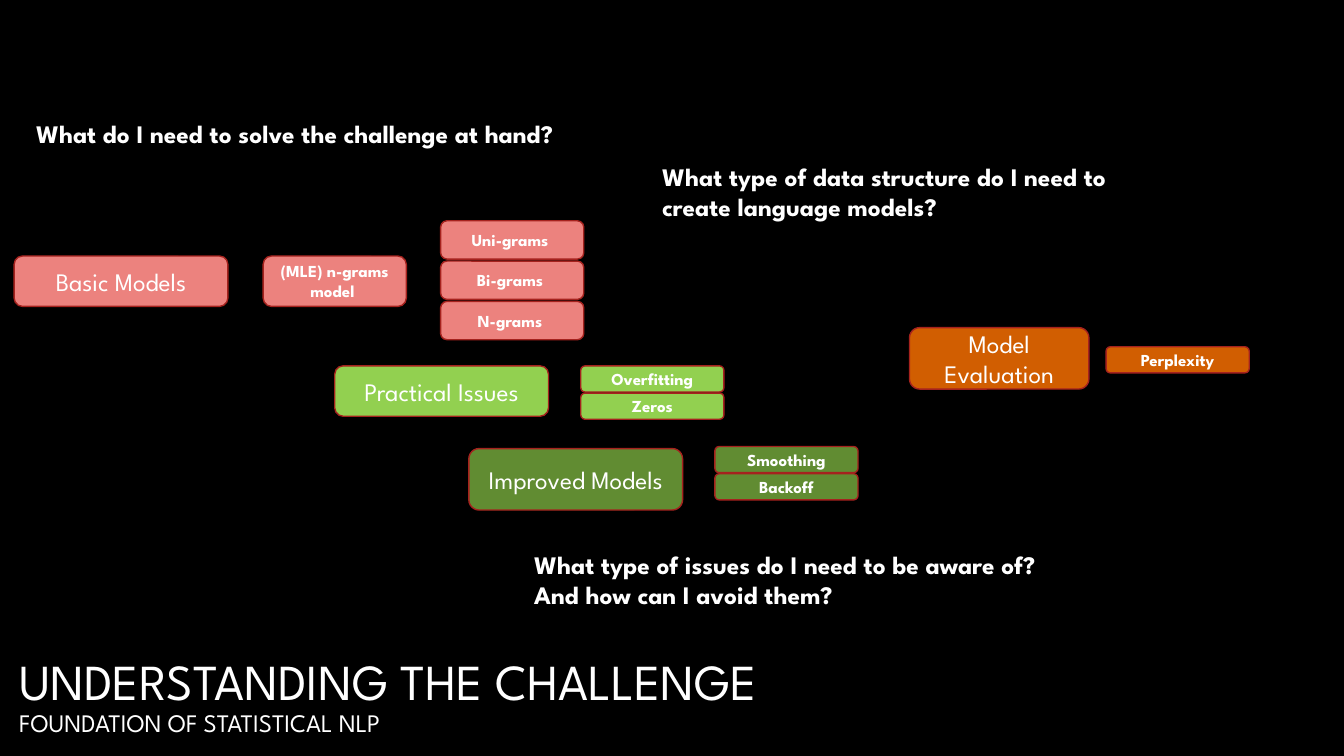
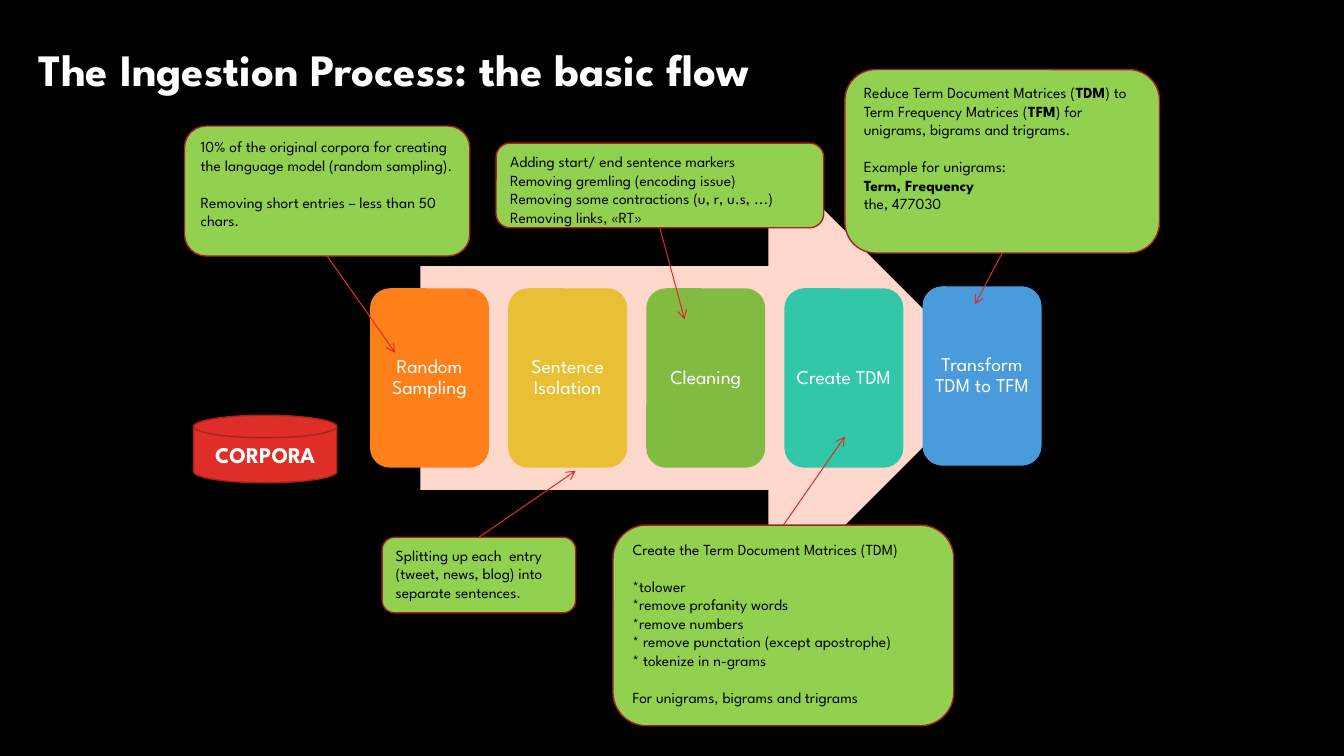
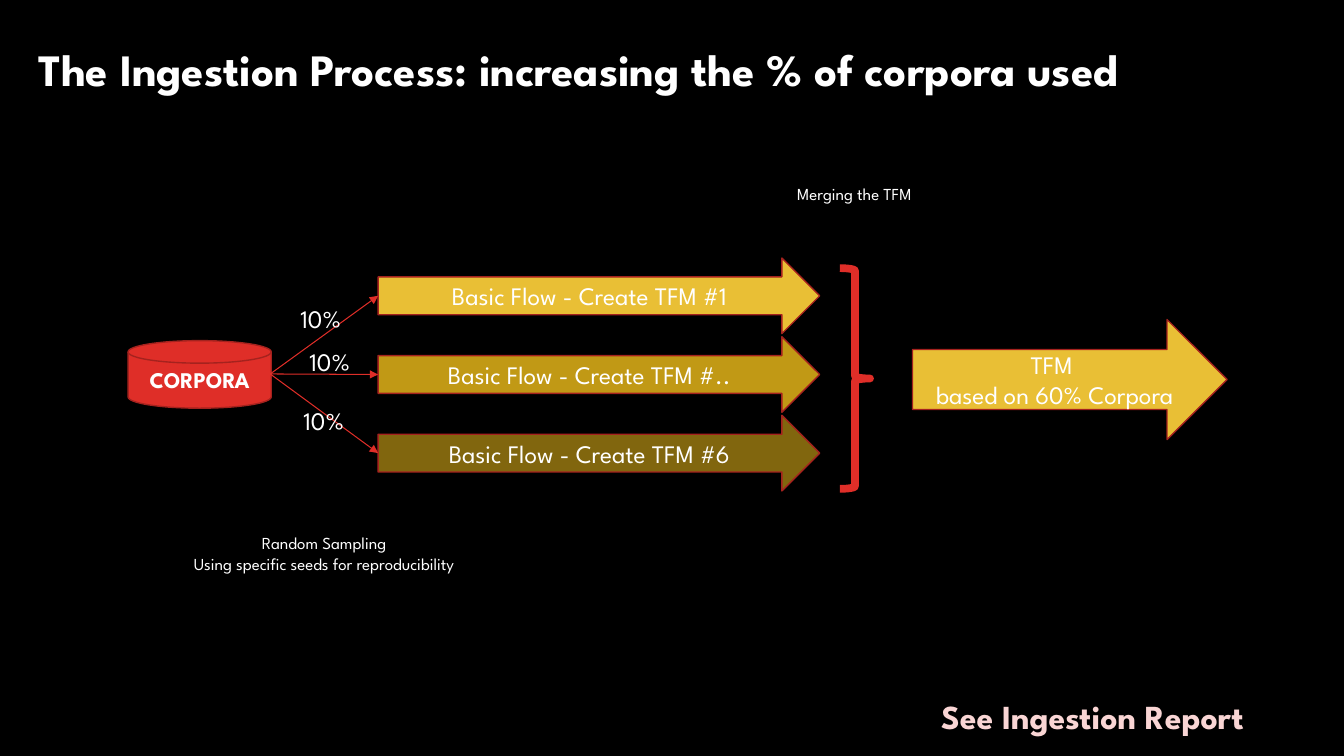
from pptx import Presentation
from pptx import util as u
from pptx.dml.color import RGBColor
from pptx.enum import shapes, text
from pptx.oxml.ns import qn
from lxml import etree

COLOURS = {
    "black": "000000", "white": "FFFFFF", "red": "DF2E28", "dark_red": "A5221E",
    "salmon": "EC827E", "lime": "92D050", "olive": "618C32", "rust": "D15E01",
    "peach": "FFD8CD", "orange": "FE801A", "yellow": "E9BF35", "green": "81BB42",
    "teal": "32C7A9", "blue": "4A9BDC", "gold": "C19915", "bronze": "81660E",
    "pink": "F9D5D4",
}
FONT = "League Spartan"
KIND = shapes.MSO_SHAPE
ALIGN = text.PP_ALIGN
ANCHOR = text.MSO_ANCHOR
FIT = text.MSO_AUTO_SIZE
LABEL = {"size": 18}
SMALL = {"size": 12, "bold": True}
NOTE = {"size": 11, "ink": "black", "align": ALIGN.LEFT}


def assign(target, values):
    for name, value in values.items():
        setattr(target, name, value)


def colour(name):
    return RGBColor.from_string(COLOURS[name])


class Deck:
    def __init__(self):
        self.show = Presentation()
        assign(self.show, {"slide_width": u.Inches(13.33), "slide_height": u.Inches(7.5)})
        background = self.show.slide_master.background.fill
        background.solid()
        background.fore_color.rgb = colour("black")
        self.slide = None

    def new_slide(self, lines, box, anchor=ANCHOR.TOP, spacing=1.0):
        self.slide = self.show.slides.add_slide(self.show.slide_layouts[5])
        title = self.slide.shapes.title
        sides = ("left", "top", "width", "height")
        assign(title, dict(zip(sides, map(u.Inches, box))))
        assign(title.text_frame, {"word_wrap": True, "auto_size": FIT.NONE,
                                  "vertical_anchor": anchor})
        paragraph = title.text_frame.paragraphs[0]
        assign(paragraph, {"alignment": ALIGN.LEFT, "line_spacing": spacing})
        for number, (words, size, bold) in enumerate(lines):
            if number:
                paragraph.add_line_break()
            self.add_words(paragraph, words, size, bold, "white")

    def add_words(self, paragraph, words, size, bold, ink):
        run = paragraph.add_run()
        run.text = words
        assign(run.font, {"name": FONT, "size": u.Pt(size), "bold": bold})
        run.font.color.rgb = colour(ink)

    def add_paragraphs(self, frame, paragraphs, size=18, bold=False, ink="white",
                       align=ALIGN.CENTER, spacing=1.0, gaps=()):
        for number, words in enumerate(paragraphs):
            paragraph = frame.add_paragraph() if number else frame.paragraphs[0]
            before = u.Pt(size * 1.2 if number in gaps else 0)
            assign(paragraph, {"alignment": align, "line_spacing": spacing,
                               "space_before": before})
            for part, piece in enumerate(words.split("**")):
                if piece:
                    self.add_words(paragraph, piece, size, bold or part % 2 == 1, ink)

    def shape(self, kind, box, fill=None, paragraphs=(), outline="dark_red", weight=1,
              anchor=ANCHOR.MIDDLE, inset=None, **style):
        shape = self.slide.shapes.add_shape(kind, *map(u.Inches, box))
        shape.shadow.inherit = False
        if fill:
            shape.fill.solid()
            shape.fill.fore_color.rgb = colour(fill)
        else:
            shape.fill.background()
        if outline:
            shape.line.color.rgb = colour(outline)
            shape.line.width = u.Pt(weight)
        else:
            shape.line.fill.background()
        frame = shape.text_frame
        assign(frame, {"word_wrap": True, "vertical_anchor": anchor})
        if inset is not None:
            margins = ("margin_left", "margin_right", "margin_top", "margin_bottom")
            assign(frame, dict.fromkeys(margins, u.Inches(inset)))
        self.add_paragraphs(frame, paragraphs, **style)
        return shape

    def pill(self, box, fill, paragraphs, style):
        return self.shape(KIND.ROUNDED_RECTANGLE, box, fill, paragraphs, **style)

    def corpora(self, left, top):
        self.shape(KIND.FLOWCHART_MAGNETIC_DISK, (left, top, 1.42, 0.67), "red",
                   ["CORPORA"], size=16, bold=True)

    def caption(self, box, paragraphs, **style):
        caption = self.slide.shapes.add_textbox(*map(u.Inches, box))
        assign(caption.text_frame, {"word_wrap": False, "auto_size": FIT.SHAPE_TO_FIT_TEXT})
        self.add_paragraphs(caption.text_frame, paragraphs, **style)

    def arrow(self, start, end, head, source=None, target=None):
        ends = map(u.Inches, (*start, *end))
        arrow = self.slide.shapes.add_connector(shapes.MSO_CONNECTOR.STRAIGHT, *ends)
        if source:
            arrow.begin_connect(*source)
        if target:
            arrow.end_connect(*target)
        arrow.line.color.rgb = colour("red")
        arrow.line.width = u.Pt(0.75)
        properties = arrow.element.spPr
        etree.SubElement(properties.find(qn("a:ln")), qn("a:tailEnd"), type=head)
        etree.SubElement(properties, qn("a:effectLst"))


def challenge(deck):
    deck.new_slide([("UNDERSTANDING THE CHALLENGE", 36, False),
                    ("FOUNDATION OF STATISTICAL NLP", 18, False)],
                   (0.09, 6.42, 8.42, 1), ANCHOR.MIDDLE, 0.9)
    topics = [
        ((0.14, 2.54, 2.12, 0.5), "salmon", "Basic Models",
         (4.37, 2.19, 0.38, 0.4), ["Uni-grams ", "Bi-grams ", "N-grams "]),
        ((3.32, 3.63, 2.12, 0.5), "lime", "Practical Issues",
         (5.76, 3.63, 0.26, 0.27), ["Overfitting", "Zeros"]),
        ((4.65, 4.45, 2.12, 0.61), "olive", "Improved Models",
         (7.09, 4.43, 0.26, 0.27), ["Smoothing", "Backoff"]),
        ((9.02, 3.25, 1.78, 0.61), "rust", "Model Evaluation",
         (10.97, 3.44, 0.26, 0.27), ["Perplexity"]),
    ]
    for box, fill, topic, (left, top, height, pitch), details in topics:
        deck.pill(box, fill, [topic], LABEL)
        for row, detail in enumerate(details):
            deck.pill((left, top + row * pitch, 1.42, height), fill, [detail], SMALL)
    deck.pill((2.61, 2.54, 1.42, 0.5), "salmon", ["(MLE) n-grams", "model "], SMALL)
    questions = [
        ((6.47, 1.55, 5.07, 0.71),
         ["What type of data structure do I need to", "create language models?"]),
        ((0.26, 1.12, 5.77, 0.4), ["What do I need to solve the challenge at hand?"]),
        ((5.2, 5.4, 5.6, 0.71),
         ["What type of issues do I need to be aware of?", "And how can I avoid them?"]),
    ]
    for box, question in questions:
        deck.caption(box, question, bold=True, align=ALIGN.LEFT)


def basic_flow(deck):
    deck.new_slide([("The Ingestion Process: the basic flow", 32, True)],
                   (0.28, 0.36, 7.98, 0.64))
    deck.shape(KIND.RIGHT_ARROW, (4.17, 1.53, 5.67, 4.44), "peach", outline=None)
    stages = [("Random Sampling", "orange", 2.86), ("Sentence Isolation", "yellow", 2.86),
              ("Cleaning", "green", 2.86), ("Create TDM", "teal", 2.86),
              ("Transform TDM to TFM", "blue", 2.84)]
    for column, (stage, fill, top) in enumerate(stages):
        deck.shape(KIND.ROUNDED_RECTANGLE, (3.67 + column * 1.37, top, 1.18, 1.78), fill,
                   [stage], outline=None, inset=0.05, size=14, spacing=0.9)
    deck.corpora(1.92, 4.12)
    callouts = [
        ((1.83, 1.25, 2.83, 1.29), 2, (3.92, 3.5), (1,),
         ["10% of the original corpora for creating the language model (random sampling).",
          "Removing short entries – less than 50 chars."]),
        ((3.79, 5.33, 1.92, 0.75), 0, (5.71, 4.67), (),
         ["Splitting up each  entry (tweet, news, blog) into separate sentences."]),
        ((4.92, 1.42, 3.25, 0.84), 2, (6.79, 3.17), (),
         ["Adding start/ end sentence markers", "Removing gremling (encoding issue)",
          "Removing some contractions (u, r, u.s, ...)", "Removing links, «RT»"]),
        ((6.08, 5.21, 3.38, 1.99), 0, (8.38, 4.33), (1, 6),
         ["Create the Term Document Matrices (TDM)", "*tolower", "*remove profanity words",
          "*remove numbers", "* remove punctation (except apostrophe)",
          "* tokenize in n-grams", "For unigrams, bigrams and trigrams"]),
        ((8.38, 0.69, 3.12, 1.82), 2, (9.67, 3.02), (1,),
         ["Reduce Term Document Matrices (**TDM**) to Term Frequency Matrices (**TFM**) "
          "for unigrams, bigrams and trigrams.",
          "Example for unigrams:", "**Term, Frequency**", "the, 477030"]),
    ]
    for box, side, tip, gaps, remarks in callouts:
        callout = deck.pill(box, "lime", remarks,
                            {**NOTE, "anchor": ANCHOR.TOP, "gaps": gaps})
        deck.arrow(box[:2], tip, "arrow", source=(callout, side))


def larger_corpora(deck):
    deck.new_slide([("The Ingestion Process: increasing the % of corpora used", 32, True)],
                   (0.28, 0.36, 11.98, 0.64))
    deck.corpora(1.27, 3.38)
    flows = [("#1", "yellow", 2.88, 2.96), ("#..", "gold", 2.97, 3.39),
             ("#6", "bronze", 2.91, 3.97)]
    for row, (number, fill, share_left, share_top) in enumerate(flows):
        top = 2.56 + row * 0.78
        flow = deck.shape(KIND.RIGHT_ARROW, (3.75, top, 4.38, 0.75), fill,
                          [f"Basic Flow - Create TFM {number}"])
        deck.arrow((2.68, 3.71), (3.75, top), "triangle", target=(flow, 1))
        deck.caption((share_left, share_top, 0.68, 0.4), ["10%"], align=ALIGN.LEFT)
    deck.shape(KIND.RIGHT_BRACE, (8.33, 2.66, 0.3, 2.19), outline="red", weight=5.5)
    deck.shape(KIND.RIGHT_ARROW, (9.05, 3.17, 3.12, 1.19), "yellow",
               ["TFM ", "based on 60% Corpora"])
    deck.caption((1.69, 5.24, 3.05, 0.5),
                 ["Random Sampling", "Using specific seeds for reproducibility"], size=12)
    deck.caption((7.71, 1.77, 1.53, 0.3), ["Merging the TFM"], size=12)
    deck.caption((9.08, 6.85, 3.51, 0.5), ["See Ingestion Report"],
                 size=24, bold=True, ink="pink")


def main():
    deck = Deck()
    for build in (challenge, basic_flow, larger_corpora):
        build(deck)
    deck.show.save("out.pptx")


if __name__ == "__main__":
    main()
